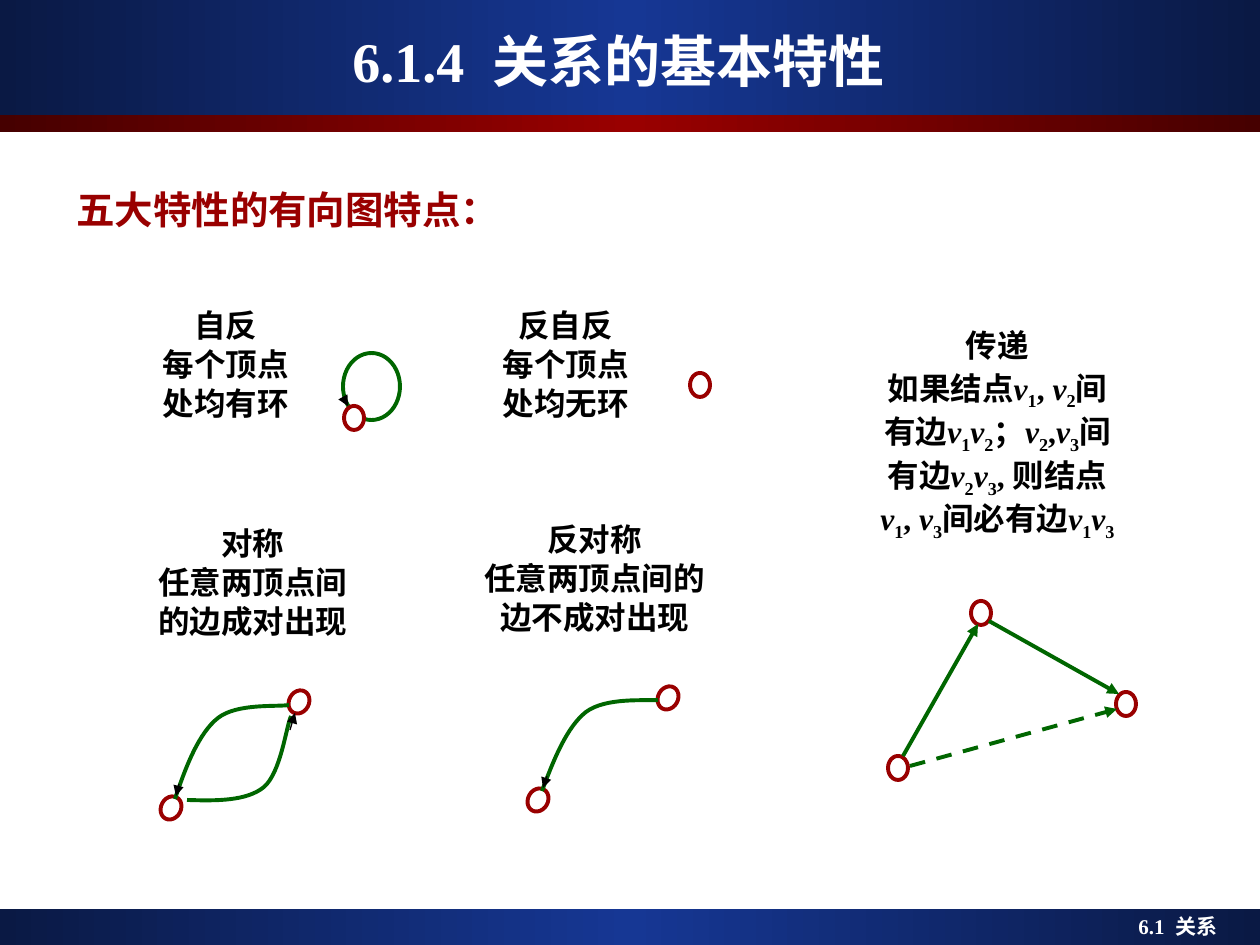
from copy import deepcopy

from lxml import etree
from pptx import Presentation
from pptx import util as u
from pptx.dml.color import RGBColor
from pptx.enum import dml, shapes, text
from pptx.oxml import ns

SCALE = 914400 / 126
CJK, LATIN = "Noto Sans CJK SC", "Times New Roman"
COLORS = {"navy": "0A1944", "blue": "163794", "maroon": "460000", "red": "990000",
          "green": "006600", "white": "FFFFFF", "black": "000000"}
VERTEX = (20, 24)
INDICES = {"v1": "1", "v2": "2", "v3": "3"}

BANDS = [
    ((0, 909, 1260, 36), "navy", "blue"),
    ((0, 0, 1260, 115), "navy", "blue"),
    ((0, 115, 1260, 17), "maroon", "red"),
]
LABELS = [
    ((64, 185, 626, 76), "五大特性的有向图特点：", 22, CJK, "red", "LEFT", "TOP", 0.9),
    ((42, 21, 1166, 78), "6.1.4  关系的基本特性 ", 32, LATIN, "white", "CENTER", "MIDDLE", 1),
    ((1126, 910, 134, 35), "6.1  关系", 12, LATIN, "white", "LEFT", "TOP", 0.9),
]
PROPERTIES = [
    ((144, 304, 164, 164), [["自反"], ["每个顶点"], ["处均有环"]]),
    ((481, 304, 169, 159), [["反自反"], ["每个顶点"], ["处均无环"]]),
    ((134, 522, 238, 139), [["对称"], ["任意两顶点间"], ["的边成对出现"]]),
    ((441, 518, 307, 139), [["反对称"], ["任意两顶点间的"], ["边不成对出现"]]),
    ((789, 324, 417, 238), [
        ["传递"],
        ["如果结点", "v1", ", ", "v2", "间"],
        ["有边", "v1", "v2", "；", "v2", ",", "v3", "间"],
        ["有边", "v2", "v3", ", 则结点"],
        ["v1", ", ", "v3", "间必有边", "v1", "v3"],
    ]),
]
GRAPHS = [
    {"loop": (343, 353, 57, 67), "vertices": [(354, 418)],
     "tips": [((343, 397), (348, 406))]},
    {"vertices": [(700, 385)]},
    {"vertices": [(299, 702), (171, 808)], "tilt": 28,
     "curves": [
         [(175, 799), (186, 766), (199, 733), (218, 718), (237, 703), (277, 707), (289, 705)],
         [(187, 800), (217, 801), (247, 801), (264, 787), (281, 772), (286, 727), (291, 716)]],
     "tips": [((179, 784), (176, 796)), ((290, 730), (295, 713))]},
    {"vertices": [(668, 698), (538, 800)], "tilt": 29,
     "curves": [
         [(542, 791), (554, 759), (567, 727), (586, 712), (606, 697), (646, 701), (658, 700)]],
     "tips": [((547, 776), (543, 788))]},
    {"vertices": [(981, 613), (898, 768), (1126, 704)],
     "edges": [((903, 756), (978, 624)), ((989, 621), (1119, 694))],
     "dashed": [((910, 766), (1117, 709))]},
]


def px(value):
    return u.Emu(round(value * SCALE))


def rgb(name):
    return RGBColor.from_string(COLORS[name])


def add_preset(parent, kind, box, fill="white", line=None):
    shape = parent.shapes.add_shape(kind, *map(px, box))
    shape.shadow.inherit = False
    shape.fill.solid()
    shape.fill.fore_color.rgb = rgb(fill)
    if line:
        shape.line.color.rgb = rgb(line)
        shape.line.width = u.Pt(2.25)
    else:
        shape.line.fill.background()
    return shape


def add_band(slide, box, edge, middle):
    fill = add_preset(slide, shapes.MSO_SHAPE.RECTANGLE, box).fill
    fill.gradient()
    fill.gradient_angle = 0
    stops = fill._fill._gradFill.gsLst
    stops.insert(1, deepcopy(stops[0]))
    for stop, color, position in zip(fill.gradient_stops, (edge, middle, edge), (0, 0.5, 1)):
        stop.color.rgb = rgb(color)
        stop.position = position


def add_run(paragraph, words, size, font, color):
    run = paragraph.add_run()
    run.text = words
    run.font.size = u.Pt(size)
    run.font.bold = True
    run.font.name = font
    run.font.color.rgb = rgb(color)
    properties = run._r.get_or_add_rPr()
    etree.SubElement(properties, ns.qn("a:ea")).set("typeface", CJK)
    return run


def add_label(slide, box, words, size, font, color, align, anchor, spacing):
    frame = slide.shapes.add_textbox(*map(px, box)).text_frame
    frame.word_wrap = True
    frame.vertical_anchor = text.MSO_ANCHOR[anchor]
    paragraph = frame.paragraphs[0]
    paragraph.alignment = text.PP_ALIGN[align]
    paragraph.line_spacing = spacing
    add_run(paragraph, words, size, font, color)


def add_property(slide, box, lines):
    frame = add_preset(slide, shapes.MSO_SHAPE.RECTANGLE, box).text_frame
    frame.word_wrap = True
    frame.vertical_anchor = text.MSO_ANCHOR.TOP
    for number, line in enumerate(lines):
        paragraph = frame.add_paragraph() if number else frame.paragraphs[0]
        paragraph.alignment = text.PP_ALIGN.CENTER
        paragraph.line_spacing = 0.9
        paragraph.space_before = u.Pt(2.8 if number else 0)
        for token in line:
            if token in INDICES:
                add_run(paragraph, "v", 18, LATIN, "black").font.italic = True
                index = add_run(paragraph, INDICES[token], 18, LATIN, "black")
                index._r.get_or_add_rPr().set("baseline", "-25000")
            else:
                add_run(paragraph, token, 18, LATIN, "black")


def add_arrow(group, start, end, color, width, dashed=False):
    arrow = group.shapes.add_connector(shapes.MSO_CONNECTOR.STRAIGHT, *map(px, start + end))
    arrow.line.color.rgb = rgb(color)
    arrow.line.width = u.Pt(width)
    if dashed:
        arrow.line.dash_style = dml.MSO_LINE.DASH
    etree.SubElement(arrow.line._get_or_add_ln(), ns.qn("a:tailEnd")).set("type", "triangle")
    etree.SubElement(arrow._element.spPr, ns.qn("a:effectLst"))


def add_curve(group, points):
    builder = group.shapes.build_freeform(*points[0], scale=SCALE)
    builder.add_line_segments(points[1:], close=False)
    curve = builder.convert_to_shape()
    curve.shadow.inherit = False
    curve.fill.background()
    curve.line.color.rgb = rgb("green")
    curve.line.width = u.Pt(2.25)
    segments = curve._element.xpath(".//a:lnTo")
    for first in range(0, len(segments), 3):
        bezier = etree.Element(ns.qn("a:cubicBezTo"))
        segments[first].addprevious(bezier)
        for segment in segments[first:first + 3]:
            bezier.append(segment[0])
            segment.getparent().remove(segment)


def add_graph(slide, graph):
    group = slide.shapes.add_group_shape()
    if "loop" in graph:
        add_preset(group, shapes.MSO_SHAPE.OVAL, graph["loop"], line="green")
    width, height = VERTEX
    for x, y in graph["vertices"]:
        box = (x - width / 2, y - height / 2, width, height)
        vertex = add_preset(group, shapes.MSO_SHAPE.OVAL, box, line="red")
        vertex.rotation = graph.get("tilt", 0)
    for points in graph.get("curves", []):
        add_curve(group, points)
    for start, end in graph.get("tips", []):
        add_arrow(group, start, end, "black", 0.75)
    for kind in ("edges", "dashed"):
        for start, end in graph.get(kind, []):
            add_arrow(group, start, end, "green", 2.25, kind == "dashed")


def main():
    presentation = Presentation()
    presentation.slide_width, presentation.slide_height = px(1260), px(945)
    slide = presentation.slides.add_slide(presentation.slide_layouts[6])
    for band in BANDS:
        add_band(slide, *band)
    for label in LABELS:
        add_label(slide, *label)
    for box, lines in PROPERTIES:
        add_property(slide, box, lines)
    for graph in GRAPHS:
        add_graph(slide, graph)
    presentation.save("out.pptx")


if __name__ == "__main__":
    main()
